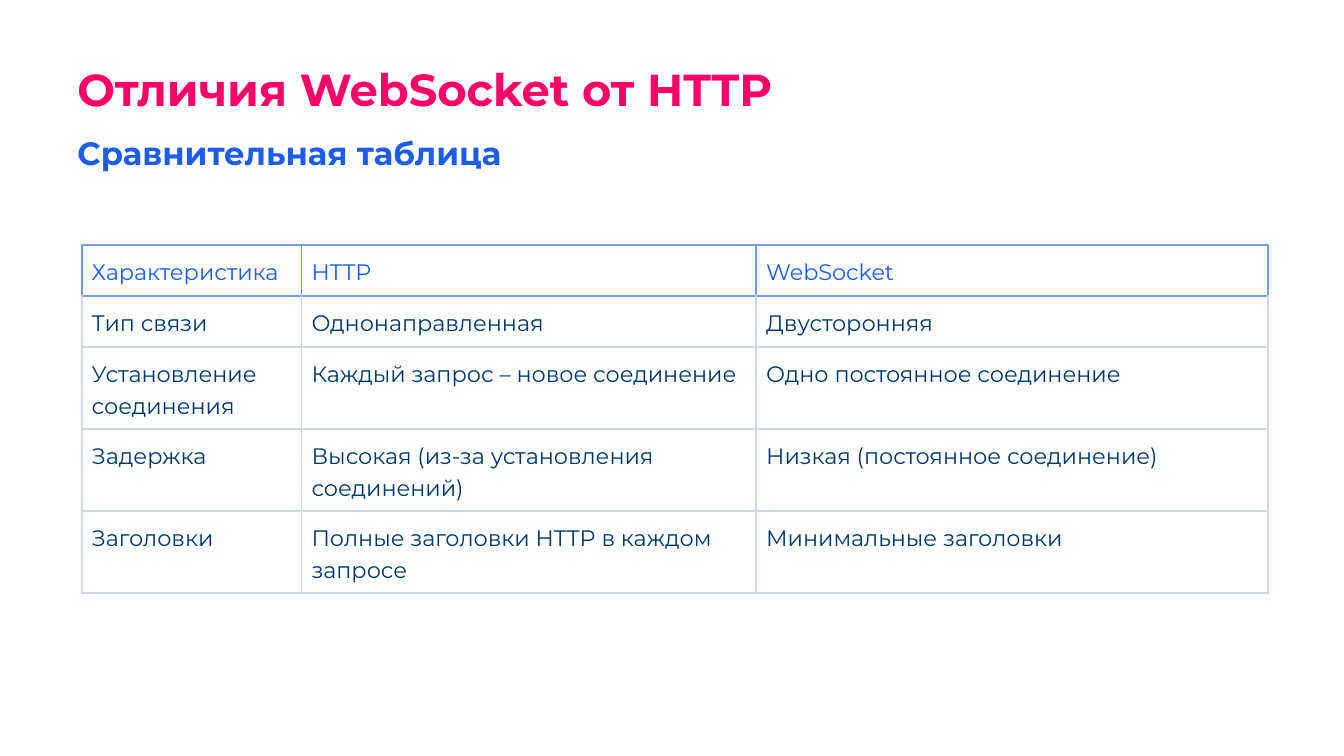
"""Build the slide comparing WebSocket with HTTP."""
from dataclasses import dataclass

import pptx
import pptx.dml.color
import pptx.enum.text
import pptx.oxml
import pptx.oxml.ns
import pptx.util
from pptx.util import Inches


@dataclass(frozen=True)
class Theme:
    font: str = "Montserrat"
    pink: str = "FF0068"
    blue: str = "1E5CEC"
    navy: str = "00396B"
    white: str = "FFFFFF"
    header_border: str = "739AF4"
    body_border: str = "D1D8E2"
    border_width: float = 1.5
    title_size: int = 32
    subtitle_size: int = 23
    table_size: int = 16


theme = Theme()


def write(frame, words, size, color, spacing, bold=False):
    """Fill a text frame with one styled paragraph."""
    frame.word_wrap = True
    frame.text = words
    paragraph = frame.paragraphs[0]
    paragraph.line_spacing = spacing
    font = paragraph.runs[0].font
    font.name = theme.font
    font.size = pptx.util.Pt(size)
    font.bold = bold
    font.color.rgb = pptx.dml.color.RGBColor.from_string(color)


def add_border(cell, side, color):
    """Append one border line to a cell."""
    width = pptx.util.Pt(theme.border_width)
    cell._tc.get_or_add_tcPr().append(pptx.oxml.parse_xml(
        f'<a:{side} {pptx.oxml.ns.nsdecls("a")} w="{width}"><a:solidFill>'
        f'<a:srgbClr val="{color}"/></a:solidFill></a:{side}>'))


deck = pptx.Presentation()
deck.slide_width = Inches(13.33)
deck.slide_height = Inches(7.5)
slide = deck.slides.add_slide(deck.slide_layouts[6])

title = slide.shapes.add_textbox(Inches(0.67), Inches(0.62), Inches(7.94), Inches(0.41))
write(title.text_frame, "Отличия WebSocket от HTTP", theme.title_size, theme.pink, 0.9, bold=True)

subtitle = slide.shapes.add_textbox(Inches(0.67), Inches(1.22), Inches(7.46), Inches(0.64))
write(subtitle.text_frame, "Сравнительная таблица", theme.subtitle_size, theme.blue, 1.15, bold=True)

comparison = [
    ("Характеристика", "HTTP", "WebSocket"),
    ("Тип связи", "Однонаправленная", "Двусторонняя"),
    ("Установление соединения", "Каждый запрос – новое соединение", "Одно постоянное соединение"),
    ("Задержка", "Высокая (из-за установления соединений)", "Низкая (постоянное соединение)"),
    ("Заголовки", "Полные заголовки HTTP в каждом запросе", "Минимальные заголовки"),
]
column_widths = [2.18, 4.51, 5.08]

comparison_frame = slide.shapes.add_table(
    len(comparison), len(column_widths),
    Inches(0.81), Inches(2.43), Inches(sum(column_widths)), Inches(3.33))
table = comparison_frame.table
table.horz_banding = False
for column, width in zip(table.columns, column_widths):
    column.width = Inches(width)

for row_index, entries in enumerate(comparison):
    table.rows[row_index].height = Inches(0.32)
    is_header = row_index == 0
    text_color = theme.blue if is_header else theme.navy
    border_color = theme.header_border if is_header else theme.body_border
    top_color = theme.header_border if row_index <= 1 else theme.body_border
    for column_index, entry in enumerate(entries):
        cell = table.cell(row_index, column_index)
        cell.margin_left = cell.margin_right = Inches(0.1)
        cell.margin_top = cell.margin_bottom = Inches(0.1)
        cell.vertical_anchor = pptx.enum.text.MSO_ANCHOR.TOP
        write(cell.text_frame, entry, theme.table_size, text_color, 1.15)
        for side in ("lnL", "lnR", "lnT", "lnB"):
            add_border(cell, side, top_color if side == "lnT" else border_color)
        if is_header:
            cell.fill.solid()
            cell.fill.fore_color.rgb = pptx.dml.color.RGBColor.from_string(theme.white)
        else:
            cell.fill.background()

comparison_frame.height = Inches(3.33)

deck.save("out.pptx")
